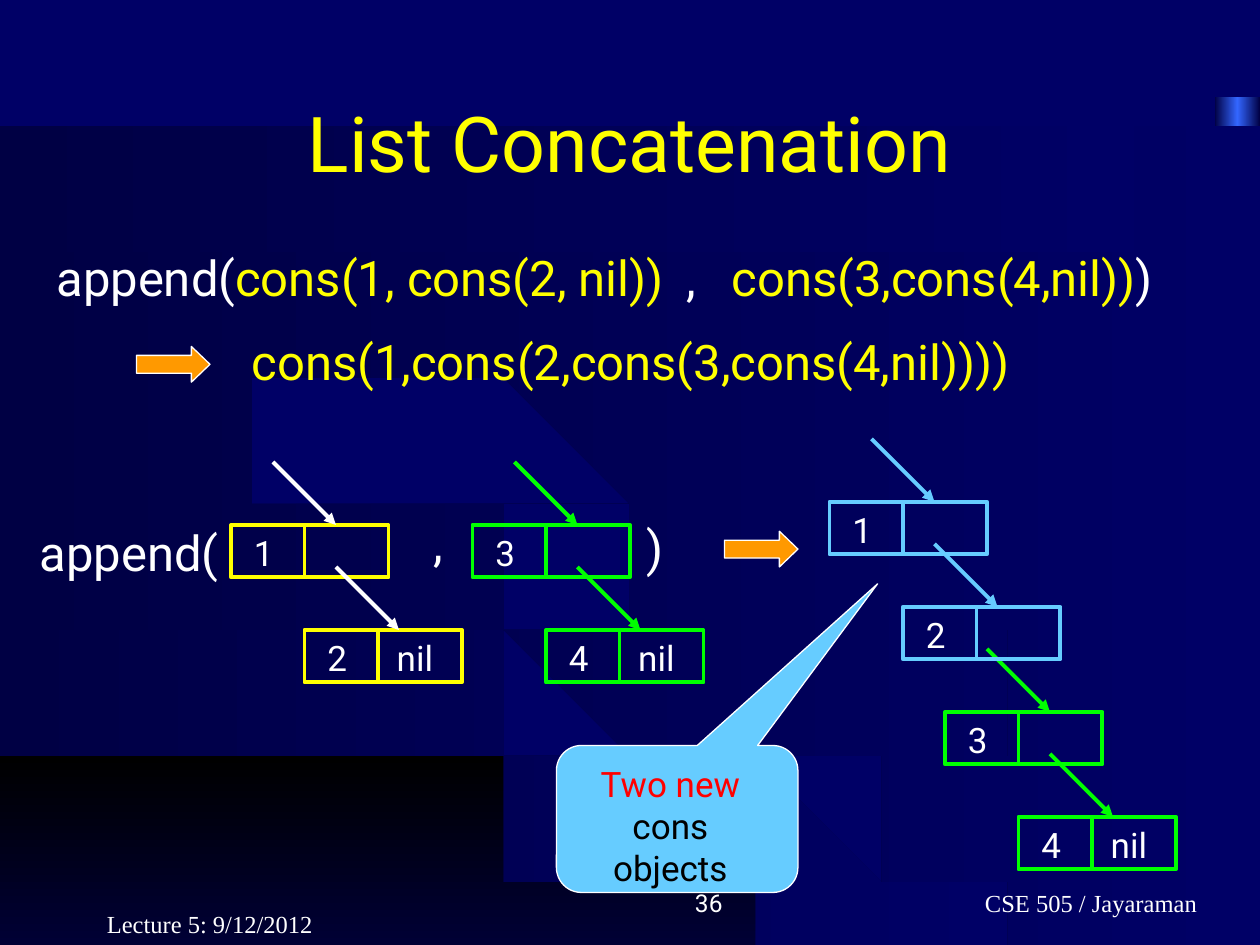
import pptx
import pptx.util
import pptx.dml.color
import pptx.enum.shapes
import pptx.enum.text
import pptx.oxml.ns
import lxml.etree

CELL = pptx.util.Inches(1) / 12  # the slide is 120 columns by 90 rows
KIND = pptx.enum.shapes.MSO_SHAPE
ALIGN = pptx.enum.text.PP_ALIGN
ANCHOR = pptx.enum.text.MSO_ANCHOR
WHITE, YELLOW, GREEN, BLUE = "FFFFFF", "FFFF00", "00FF00", "66CCFF"
ORANGE, RED, BLACK, NAVY, DARK = "FF9900", "FF0000", "000000", "000066", "000044"
SERIF = "Times New Roman"
STEPS = 32  # straight pieces in each curved edge

# Right end of each band, then its upper and lower edge, in inches:
# height at the left side and the fall across the whole slide.
BANDS = [
    (8.2, (4.95, 4.02), (5.54, 6.94)),
    (10, (4.21, 2.16), (4.8, 4.01)),
    (10, (3.46, 1.1), (4.07, 2.12)),
    (10, (2.73, 0), (3.32, 1.1)),
    (10, (2.06, -1.5), (2.59, 0)),
    (9.18, (1.39, -2.46), (1.92, -1.42)),
    (5.02, (0.75, 0), (1.24, -2.39)),
]


def tint(code):
    return pptx.dml.color.RGBColor.from_string(code)


def cells(*nums):
    return [pptx.util.Emu(round(n * CELL)) for n in nums]


def put(item, **vals):
    for name, val in vals.items():
        setattr(item, name, val)


def sub(parent, tag, **vals):
    return lxml.etree.SubElement(parent, pptx.oxml.ns.qn(tag), **vals)


def edge(reach, start, fall):
    """Points of a curve that steepens to the right, kept within the bands' area."""
    xs = [reach * i / STEPS for i in range(STEPS + 1)]
    return [(x, min(7.5, max(0.75, start + fall * (x / 10) ** 2.3))) for x in xs]


class Deck:
    """Holds the text style and the current slide."""

    def __init__(self, font, back):
        self.font = font
        self.show = pptx.Presentation()
        put(self.show, slide_width=cells(120)[0], slide_height=cells(90)[0])
        self.slide = self.show.slides.add_slide(self.show.slide_layouts[6])
        self.shapes = self.slide.shapes
        self.slide.background.fill.solid()
        self.slide.background.fill.fore_color.rgb = tint(back)

    def fade(self, shape, hues, angle=0):
        """Fill with evenly spaced gradient stops and no line."""
        shape.shadow.inherit = False
        shape.line.fill.background()
        shape.fill.gradient()
        shape.fill.gradient_angle = angle
        stops = next(shape._element.iter(pptx.oxml.ns.qn("a:gsLst")))
        for old in list(stops):
            stops.remove(old)
        for i, hue in enumerate(hues):
            stop = sub(stops, "a:gs", pos=str(100000 * i // (len(hues) - 1)))
            sub(stop, "a:srgbClr", val=hue)

    def band(self, reach, top, base, hues=(DARK, NAVY), angle=0):
        pts = edge(reach, *top) + edge(reach, *base)[::-1]
        build = self.shapes.build_freeform(*pts[0], scale=pptx.util.Inches(1))
        build.add_line_segments(pts[1:], close=True)
        self.fade(build.convert_to_shape(), hues, angle)

    def shape(self, kind, box, line, width, fill=None, adj=()):
        item = self.shapes.add_shape(kind, *cells(*box))
        item.shadow.inherit = False
        for i, val in enumerate(adj):
            item.adjustments[i] = val
        if fill:
            item.fill.solid()
            item.fill.fore_color.rgb = tint(fill)
        else:
            item.fill.background()
        item.line.color.rgb = tint(line)
        item.line.width = pptx.util.Pt(width)

    def line(self, ends, hue, head=False):
        item = self.shapes.add_connector(
            pptx.enum.shapes.MSO_CONNECTOR.STRAIGHT, *cells(*ends))
        item.line.color.rgb = tint(hue)
        item.line.width = pptx.util.Pt(2.25)
        if head:
            sub(item.line._get_or_add_ln(), "a:tailEnd", type="triangle")
        sub(item._element.spPr, "a:effectLst")

    def text(self, box, paras, size, font=None, align=ALIGN.LEFT,
             anchor=ANCHOR.TOP, wrap=False, tabs=()):
        """Write paragraphs, each a list of (words, colour) runs."""
        frame = self.shapes.add_textbox(*cells(*box)).text_frame
        put(frame, word_wrap=wrap, vertical_anchor=anchor)
        for i, runs in enumerate(paras):
            para = frame.add_paragraph() if i else frame.paragraphs[0]
            para.alignment = align
            if tabs:
                stops = sub(para._p.get_or_add_pPr(), "a:tabLst")
                for pos in cells(*tabs):
                    sub(stops, "a:tab", pos=str(pos), algn="l")
            for words, hue in runs:
                run = para.add_run()
                run.text = words
                put(run.font, size=pptx.util.Pt(size), name=font or self.font)
                run.font.color.rgb = tint(hue)

    def cons(self, x, y, left, right, hue):
        """Draw one cons cell with its two fields."""
        self.shape(KIND.RECTANGLE, (x, y, 15, 5), hue, 2.25)
        self.line((x + 7, y, x + 7, y + 5), hue)
        self.text((x + 1, y, 4.3, 5.3), [[(left, WHITE)]], 20)
        if right:
            self.text((x + 7.6, y, 6.1, 5.3), [[(right, WHITE)]], 20)

    def pair(self, x, y, vals, hue, link, end="nil"):
        """Draw two linked cons cells and the arrow that leads in."""
        self.cons(x + 7, y + 10, vals[1], end, hue)
        self.cons(x, y, vals[0], None, hue)
        for down in (-6, 4):
            left = x + 7 + down / 2 if down < 0 else x + 10
            self.line((left, y + down, left + 6, y + down + 6), link, True)

    def arrow(self, x, y):
        self.shape(KIND.RIGHT_ARROW, (x, y, 7, 3.4), WHITE, 0.75,
                   ORANGE, (0.5, 0.52))


def scene(deck):
    strip = deck.shapes.add_shape(KIND.RECTANGLE, *cells(115.7, 9.2, 4.3, 80.8))
    deck.fade(strip, (DARK, "3366FF", DARK))
    deck.band(5.56, (5.68, 7.02), (7.5, 0), (BLACK, "000047"), 270)
    for band in BANDS:
        deck.band(*band)


def main():
    deck = Deck("Roboto", NAVY)
    scene(deck)

    foot = dict(size=14, anchor=ANCHOR.BOTTOM, wrap=True)
    deck.text((79, 82, 36.2, 6), [[("CSE 505 / Jayaraman", WHITE)]],
              font=SERIF, align=ALIGN.RIGHT, **foot)
    deck.text((45, 82, 25, 6), [[("36", WHITE)]], align=ALIGN.RIGHT, **foot)
    deck.text((9, 84, 25, 6), [[("Lecture 5: 9/12/2012", WHITE)]],
              font=SERIF, **foot)

    deck.text((9, 6, 102, 15), [[("List Concatenation", YELLOW)]], 44,
              align=ALIGN.CENTER, anchor=ANCHOR.MIDDLE, wrap=True)
    deck.text((4.2, 23, 109.7, 6.8),
              [[("append(", WHITE), ("cons(1, cons(2, nil))", YELLOW),
                ("\t,\t", WHITE), ("cons(3,cons(4,nil))", YELLOW),
                (")", WHITE)]], 28, wrap=True, tabs=(60, 64.3))
    deck.text((22.8, 31, 75.1, 6.8),
              [[("cons(1,cons(2,cons(3,cons(4,nil))))", YELLOW)]], 28)
    deck.arrow(13, 33)

    deck.pair(22, 50, "12", YELLOW, WHITE)
    deck.pair(45, 50, "34", GREEN, GREEN)
    for words, box in (("append(", (2.6, 49.2, 21.7, 6.8)),
                       (",", (40.1, 48.2, 3.6, 6.8)),
                       (")", (60.4, 48.7, 4, 6.8))):
        deck.text(box, [[(words, WHITE)]], 28)
    deck.arrow(69, 50.6)
    deck.pair(90, 67.8, "34", GREEN, GREEN)
    deck.pair(79, 47.8, "12", BLUE, BLUE, None)

    deck.shape(KIND.ROUNDED_RECTANGULAR_CALLOUT, (53, 71, 23, 14), WHITE, 0.75,
               BLUE, (0.83, -1.6, 0.17))
    deck.text((55.7, 72, 16.3, 13.2),
              [[("Two new", RED)], [("cons", BLACK)], [("objects", BLACK)]],
              20, align=ALIGN.CENTER)
    deck.show.save("out.pptx")


if __name__ == "__main__":
    main()
